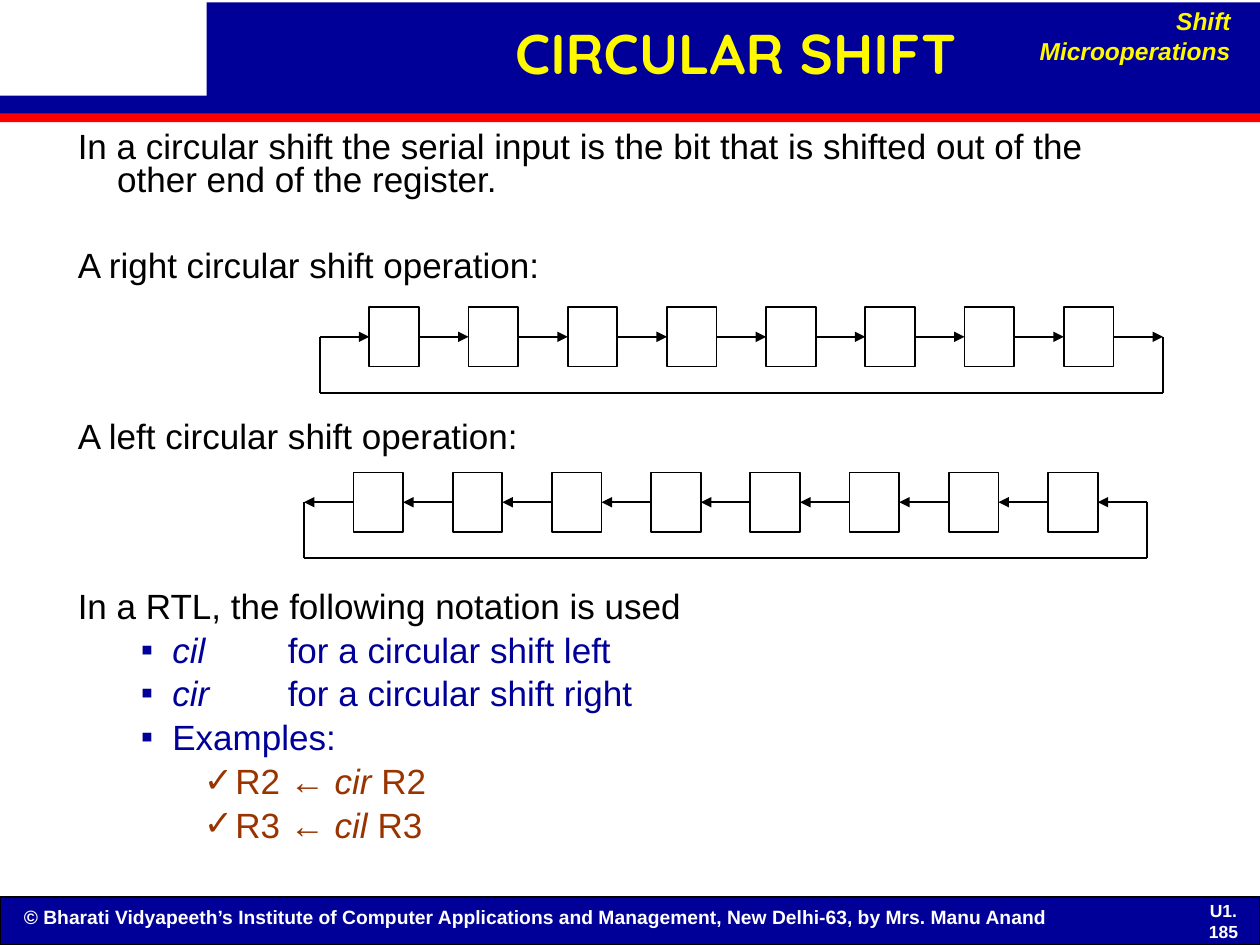
"""Build the circular shift slide."""
from lxml import etree
from pptx import Presentation
from pptx.dml.color import RGBColor
from pptx.enum import shapes, text
from pptx.oxml import ns
from pptx.util import Pt

HUES = {"navy": "000099", "red": "FF0000", "gold": "FEF800",
        "black": "000000", "white": "FFFFFF", "rust": "993300"}
LEFT, MID, RIGHT = text.PP_ALIGN.LEFT, text.PP_ALIGN.CENTER, text.PP_ALIGN.RIGHT
TOP, CENTRE = text.MSO_ANCHOR.TOP, text.MSO_ANCHOR.MIDDLE


def hue(name):
    return RGBColor.from_string(HUES[name])


def child(node, tag, **attrs):
    return etree.SubElement(node, ns.qn("a:" + tag), attrs)


class Deck:
    font = "Arial"
    size = 20
    line = 0.8
    gap = 5.75
    row = 24.15
    levels = [(22.5, -22.5, None, "black"), (54, -18, "▪", "navy"), (90, -18, "✓", "rust")]

    def __init__(self, slide):
        self.shapes = slide.shapes

    def rect(self, x, y, w, h, fill=None, line=None, width=1):
        box = self.shapes.add_shape(shapes.MSO_SHAPE.RECTANGLE, Pt(x), Pt(y), Pt(w), Pt(h))
        box.shadow.inherit = False
        if fill:
            box.fill.solid()
            box.fill.fore_color.rgb = hue(fill)
        else:
            box.fill.background()
        if line:
            box.line.color.rgb = hue(line)
            box.line.width = Pt(width)
        else:
            box.line.fill.background()

    def wire(self, x1, y1, x2, y2, head=False):
        wire = self.shapes.add_connector(
            shapes.MSO_CONNECTOR.STRAIGHT, Pt(x1), Pt(y1), Pt(x2), Pt(y2))
        wire.line.color.rgb = hue("black")
        wire.line.width = Pt(1)
        if head:
            child(wire.line._get_or_add_ln(), "tailEnd", type="triangle")
        child(wire._element.spPr, "effectLst")

    def frame(self, x, y, w, h, anchor=TOP, wrap=True):
        frame = self.shapes.add_textbox(Pt(x), Pt(y), Pt(w), Pt(h)).text_frame
        frame.word_wrap = wrap
        frame.vertical_anchor = anchor
        return frame

    def style(self, run, size, color, font=None, bold=False, italic=False):
        run.font.name = font or self.font
        run.font.size = Pt(size)
        run.font.bold = bold
        run.font.italic = italic
        run.font.color.rgb = hue(color)

    def label(self, words, spot, size, color, align=LEFT, anchor=TOP, wrap=True,
              font=None, italic=False):
        frame = self.frame(*spot, anchor, wrap)
        frame.text = words
        para = frame.paragraphs[0]
        para.alignment = align
        self.style(para.runs[0], size, color, font, True, italic)

    def body(self, spot, items):
        frame = self.frame(*spot)
        for i, (level, skip, parts) in enumerate(items):
            para = frame.add_paragraph() if i else frame.paragraphs[0]
            margin, indent, mark, color = self.levels[level]
            props = para._p.get_or_add_pPr()
            props.set("marL", str(Pt(margin)))
            props.set("indent", str(Pt(indent)))
            if mark:
                child(child(props, "buClr"), "srgbClr", val=HUES[color])
                child(props, "buFont", typeface=self.font)
                child(props, "buChar", char=mark)
                child(child(props, "tabLst"), "tab", pos=str(Pt(120)), algn="l")
            para.level = level
            para.line_spacing = self.line
            if i:
                para.space_before = Pt(self.gap + skip * self.row)
            for words, italic in parts:
                run = para.add_run()
                run.text = words
                self.style(run, self.size, color, italic=italic)

    def ring(self, x, y, right, count=8, w=28.4, h=34, step=56.7, drop=49):
        gap = step - w
        mid, low = y + h / 2, y + drop
        start, end = x - gap, x + count * step
        for i in range(count):
            self.rect(x + i * step, y, w, h, line="black")
        for i in range(count + 1):
            a = start + i * step
            b = a + gap
            if not right:
                a, b = b, a
            self.wire(a, mid, b, mid, True)
        end = start + count * step + gap
        self.wire(start, low, start, mid)
        self.wire(end, low, end, mid)
        self.wire(start, low, end, low)


def main():
    show = Presentation()
    show.slide_width, show.slide_height = Pt(720), Pt(540)
    deck = Deck(show.slides.add_slide(show.slide_layouts[6]))

    deck.rect(0, 512.6, 720, 27.4, "navy", "black", 0.75)
    deck.label("© Bharati Vidyapeeth’s Institute of Computer Applications and Management, "
               "New Delhi-63, by Mrs. Manu Anand", (6.5, 514, 661, 21), 11, "white")
    deck.label("U1. 185", (680.4, 517.7, 37.4, 17.3), 10, "white", MID, CENTRE)
    deck.rect(0, 54.7, 720, 11.5, "navy")
    deck.rect(118, 1.4, 602, 57.6, "navy")
    deck.rect(0, 64.8, 720, 5, "red")
    deck.label("CIRCULAR SHIFT", (118, 0.7, 605, 57.6), 32, "gold", MID, CENTRE,
               font="Quicksand")
    deck.label("Shift Microoperations", (552, 0, 158.4, 22.3), 14, "gold", RIGHT,
               wrap=False, italic=True)

    deck.body((37.4, 72, 629.3, 445.7), [
        (0, 0, [("In a circular shift the serial input is the bit that is shifted out of the "
                 "other end of the register.", False)]),
        (0, 1, [("A right circular shift operation:", False)]),
        (0, 3, [("A left circular shift operation:", False)]),
        (0, 3, [("In a RTL, the following notation is used", False)]),
        (1, 0, [("cil\t", True), ("for a circular shift left", False)]),
        (1, 0, [("cir\t", True), ("for a circular shift right", False)]),
        (1, 0, [("Examples:", False)]),
        (2, 0, [("R2 ← ", False), ("cir", True), (" R2", False)]),
        (2, 0, [("R3 ← ", False), ("cil", True), (" R3", False)]),
    ])
    deck.ring(211, 175.5, True)
    deck.ring(202, 270, False)
    show.save("out.pptx")


if __name__ == "__main__":
    main()
